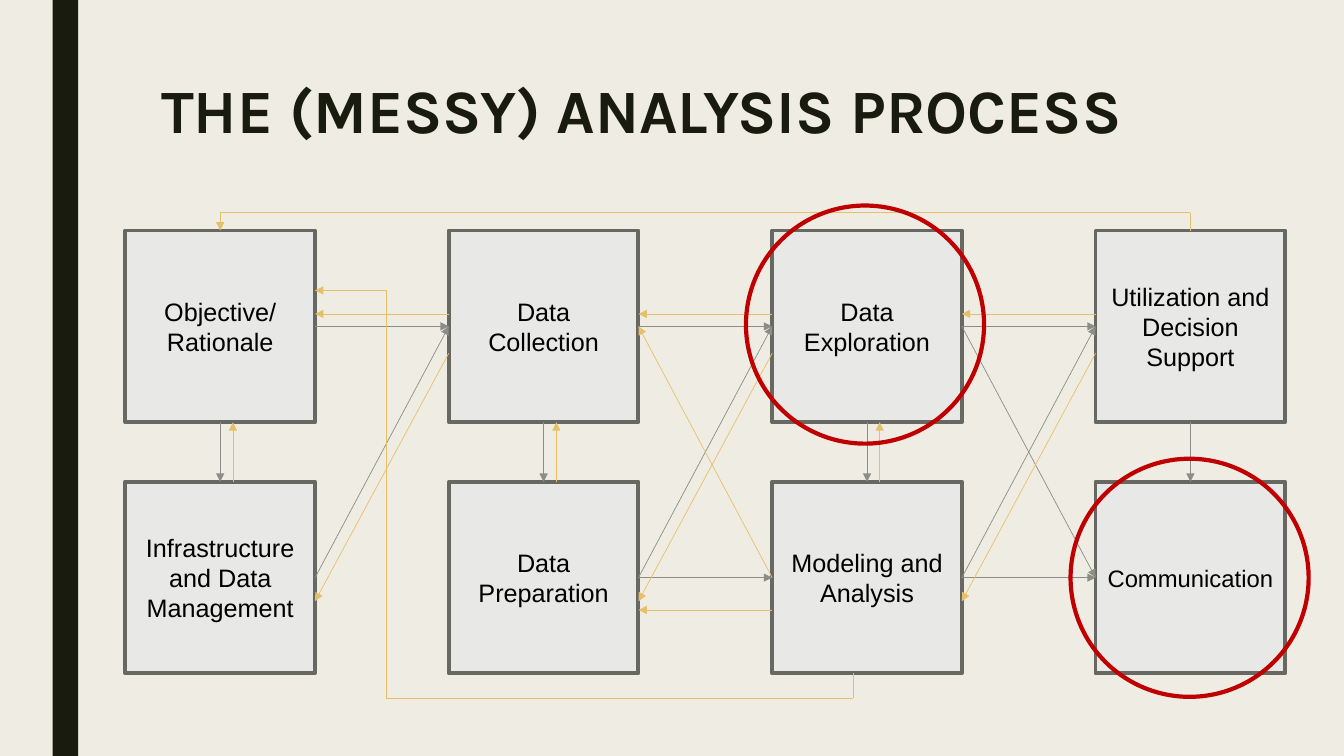
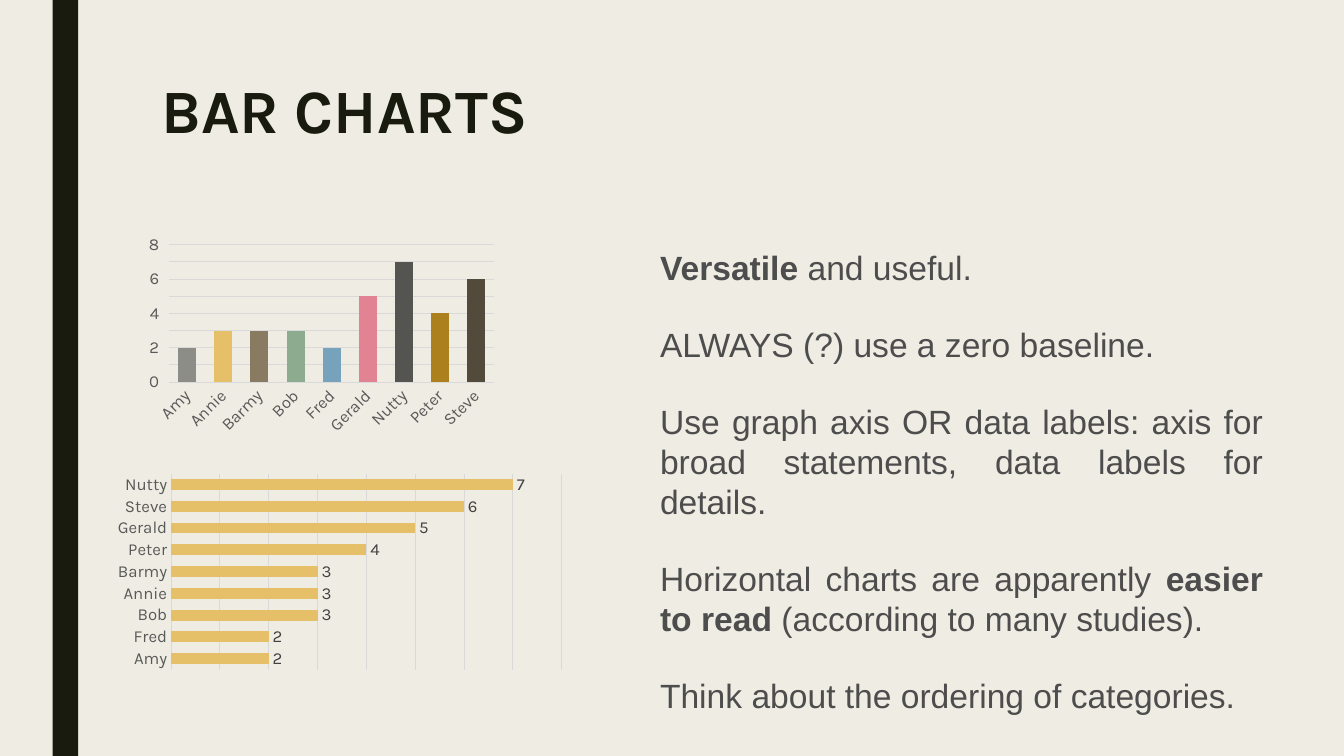
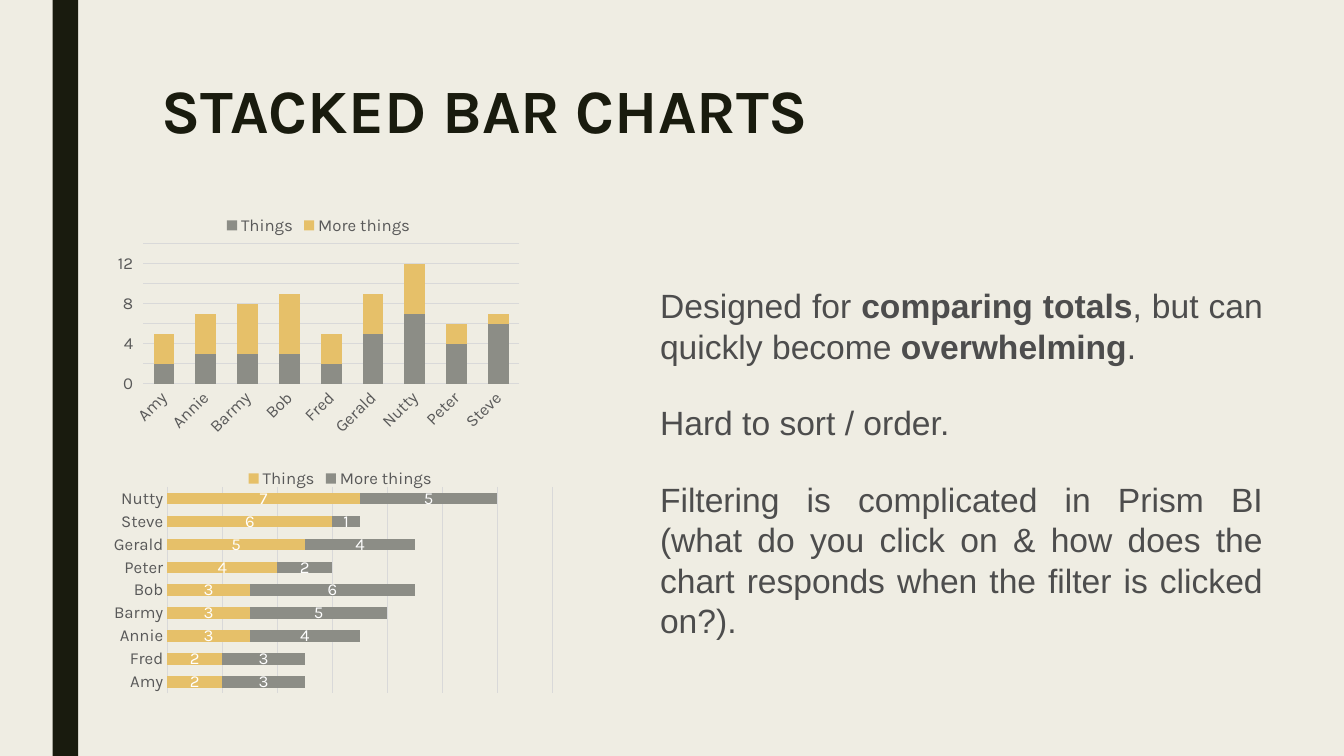
"""Build three slides on the analysis process and on bar charts."""
from lxml import etree
from pptx import Presentation
from pptx.chart.data import CategoryChartData
from pptx.dml.color import RGBColor
from pptx.enum.chart import XL_CHART_TYPE, XL_LABEL_POSITION, XL_LEGEND_POSITION, XL_TICK_MARK
from pptx.enum.shapes import MSO_CONNECTOR, MSO_SHAPE
from pptx.enum.text import MSO_ANCHOR, MSO_AUTO_SIZE, PP_ALIGN
from pptx.oxml import parse_xml
from pptx.oxml.ns import nsdecls, qn
from pptx.util import Cm, Pt

STRAIGHT, ELBOW = MSO_CONNECTOR.STRAIGHT, MSO_CONNECTOR.ELBOW
RECTANGLE, OVAL = MSO_SHAPE.RECTANGLE, MSO_SHAPE.OVAL
TOP, MIDDLE = MSO_ANCHOR.TOP, MSO_ANCHOR.MIDDLE
LEFT, CENTER, JUSTIFY = PP_ALIGN.LEFT, PP_ALIGN.CENTER, PP_ALIGN.JUSTIFY
NO_FIT = MSO_AUTO_SIZE.NONE
COLUMNS, BARS = XL_CHART_TYPE.COLUMN_CLUSTERED, XL_CHART_TYPE.BAR_CLUSTERED
STACKED_COLUMNS, STACKED_BARS = XL_CHART_TYPE.COLUMN_STACKED, XL_CHART_TYPE.BAR_STACKED
OUTSIDE_END = XL_LABEL_POSITION.OUTSIDE_END
LEGEND_TOP = XL_LEGEND_POSITION.TOP
TICK_NONE, TICK_OUT = XL_TICK_MARK.NONE, XL_TICK_MARK.OUTSIDE
SIDE_TOP, SIDE_LEFT, SIDE_BOTTOM, SIDE_RIGHT = range(4)

COLOURS = {
    "paper": "EFEDE3", "ink": "191B0E", "body": "4D4D4D", "black": "000000",
    "white": "FFFFFF", "node": "E8E8E7", "border": "686863", "highlight": "C00000",
    "grey": "8C8D86", "gold": "E6C069", "brown": "897B61", "green": "8DAB8E",
    "blue": "77A2BB", "pink": "E28394", "charcoal": "545550", "ochre": "AC811D",
    "umber": "524A3A", "axis": "595959", "grid": "D9D9D9", "label": "404040",
}
RGB = {name: RGBColor.from_string(value) for name, value in COLOURS.items()}
TITLE_FONT, TEXT_FONT = "Karla", "Arial"

deck = Presentation()
deck.slide_width, deck.slide_height = Cm(33.87), Cm(19.05)
TEXT_LAYOUT, TITLE_LAYOUT = deck.slide_layouts[1], deck.slide_layouts[5]


def add_page(layout, heading):
    """Add a slide with the shared title style."""
    page = deck.slides.add_slide(layout)
    title = page.shapes.title
    title.left, title.top, title.width, title.height = map(Cm, (3.81, 1.91, 26.67, 4.11))
    frame = title.text_frame
    frame.text = heading
    frame.auto_size, frame.vertical_anchor = NO_FIT, TOP
    para = frame.paragraphs[0]
    para.alignment, para.line_spacing = LEFT, 0.89
    font = para.runs[0].font
    font.name, font.size, font.bold = TITLE_FONT, Pt(44), True
    font.color.rgb = RGB["ink"]
    return page


def style_link(link, colour, arrow=True):
    """Give a connector a thin flat line and, if wanted, an arrowhead."""
    link.line.color.rgb = RGB[colour]
    link.line.width = Pt(0.5)
    properties = link.element.xpath("p:spPr")[0]
    if arrow:
        etree.SubElement(properties.find(qn("a:ln")), qn("a:tailEnd"), type="triangle")
    etree.SubElement(properties, qn("a:effectLst"))


page = add_page(TITLE_LAYOUT, "THE (MESSY) ANALYSIS PROCESS")

master = deck.slide_master
master.background.fill.solid()
master.background.fill.fore_color.rgb = RGB["paper"]
band = page.shapes.add_shape(RECTANGLE, Cm(1.33), 0, Cm(0.64), deck.slide_height)
band.shadow.inherit = False
band.fill.solid()
band.fill.fore_color.rgb = RGB["ink"]
band.line.fill.background()
band.element.xpath("p:nvSpPr/p:cNvPr")[0].set("id", "20")
master.shapes.element.insert(2, band.element)

NODE_LEFT, NODE_TOP = 3.16, 5.81
NODE_WIDTH, NODE_HEIGHT = 4.78, 4.83
COLUMN_PITCH, ROW_PITCH = 8.15, 6.33
STEPS = [
    ["Objective/\nRationale", "Data Collection", "Data Exploration",
     "Utilization and Decision Support"],
    ["Infrastructure and Data Management", "Data Preparation", "Modeling and Analysis",
     "Communication"],
]
nodes = {}
for row, steps in enumerate(STEPS):
    for column, step in enumerate(steps):
        node = page.shapes.add_shape(
            RECTANGLE, Cm(NODE_LEFT + column * COLUMN_PITCH), Cm(NODE_TOP + row * ROW_PITCH),
            Cm(NODE_WIDTH), Cm(NODE_HEIGHT))
        node.shadow.inherit = False
        node.fill.solid()
        node.fill.fore_color.rgb = RGB["node"]
        node.line.color.rgb = RGB["border"]
        node.line.width = Pt(2.75)
        node.text_frame.text = step
        node.text_frame.word_wrap = True
        node.text_frame.vertical_anchor = MIDDLE
        for para in node.text_frame.paragraphs:
            para.alignment = CENTER
            font = para.runs[0].font
            font.name, font.size = TEXT_FONT, Pt(17 if step == "Communication" else 18)
            font.color.rgb = RGB["black"]
        nodes[column, row] = node

joined = [((column, 0), SIDE_BOTTOM, (column, 1), SIDE_TOP, "grey") for column in range(4)]
forward = [
    ((0, 0), (1, 0)), ((0, 1), (1, 0)), ((1, 0), (2, 0)), ((1, 1), (2, 0)), ((1, 1), (2, 1)),
    ((2, 0), (3, 0)), ((2, 0), (3, 1)), ((2, 1), (3, 1)), ((2, 1), (3, 0)),
]
joined += [(start, SIDE_RIGHT, end, SIDE_LEFT, "grey") for start, end in forward]
joined.append(((2, 1), SIDE_LEFT, (1, 0), SIDE_RIGHT, "gold"))
for start, start_side, end, end_side, colour in joined:
    link = page.shapes.add_connector(STRAIGHT, 0, 0, 0, 0)
    link.begin_connect(nodes[start], start_side)
    link.end_connect(nodes[end], end_side)
    style_link(link, colour)

returns = [(19.46, 15.37, 16.09, 15.37)]
for column in range(3):
    left = NODE_LEFT + column * COLUMN_PITCH
    right, following = left + NODE_WIDTH, left + COLUMN_PITCH
    beside = left + NODE_WIDTH / 2 + 0.32
    returns += [
        (beside, NODE_TOP + ROW_PITCH, beside, NODE_TOP + NODE_HEIGHT),
        (following, 7.91, right, 7.91),
        (following, 8.9, right, 15.15),
    ]
for ends in returns:
    style_link(page.shapes.add_connector(STRAIGHT, *map(Cm, ends)), "gold")

LOOP_TOP, LOOP_LEFT, LOOP_RIGHT = 5.36, 5.55, 30
rise = page.shapes.add_connector(STRAIGHT, 0, 0, Cm(LOOP_RIGHT), Cm(LOOP_TOP))
rise.begin_connect(nodes[3, 0], SIDE_TOP)
style_link(rise, "gold", arrow=False)
across = page.shapes.add_connector(
    STRAIGHT, Cm(LOOP_RIGHT), Cm(LOOP_TOP), Cm(LOOP_LEFT), Cm(LOOP_TOP))
style_link(across, "gold", arrow=False)
drop = page.shapes.add_connector(STRAIGHT, Cm(LOOP_LEFT), Cm(LOOP_TOP), 0, 0)
drop.end_connect(nodes[0, 0], SIDE_TOP)
style_link(drop, "gold")

stub = page.shapes.add_connector(STRAIGHT, Cm(21.5), Cm(17.59), Cm(21.5), Cm(16.97))
style_link(stub, "gold", arrow=False)
detour = page.shapes.add_connector(ELBOW, Cm(21.5), Cm(17.59), Cm(7.94), Cm(7.32))
etree.SubElement(detour.element.xpath(".//a:avLst")[0], qn("a:gd"),
                 name="adj1", fmla="val 86800")
style_link(detour, "gold")

for left, top in [(18.8, 5.18), (26.98, 11.56)]:
    ring = page.shapes.add_shape(OVAL, Cm(left), Cm(top), Cm(6), Cm(6))
    ring.shadow.inherit = False
    ring.fill.background()
    ring.line.color.rgb = RGB["highlight"]
    ring.line.width = Pt(3)

NAMES = ["Amy", "Annie", "Barmy", "Bob", "Fred", "Gerald", "Nutty", "Peter", "Steve"]
THINGS = [2, 3, 3, 3, 2, 5, 7, 4, 6]
SORTED_THINGS = [2, 2, 3, 3, 3, 4, 5, 6, 7]
CHART_PAGES = [
    {
        "title": "BAR CHARTS",
        "text_top": 6.1,
        "text": [
            "**Versatile** and useful.",
            "ALWAYS (?) use a zero baseline.",
            "Use graph axis OR data labels: axis for broad statements, data labels for details.",
            "Horizontal charts are apparently **easier to read** (according to many studies).",
            "Think about the ordering of categories.",
        ],
        "maximum": 8, "unit": 1,
        "charts": [
            {"kind": COLUMNS, "place": (3.57, 5.81, 9.07, 5.26), "names": NAMES,
             "series": [("Series 1", THINGS, "grey")],
             "points": ["grey", "gold", "brown", "green", "blue", "pink", "charcoal",
                        "ochre", "umber"]},
            {"kind": BARS, "place": (2.42, 11.66, 12.62, 5.49),
             "names": ["Amy", "Fred", "Bob", "Annie", "Barmy", "Peter", "Gerald", "Steve",
                       "Nutty"],
             "series": [("Series 1", SORTED_THINGS, "gold")],
             "labels": "label", "plot": (0.15, 0.05, 0.78, 0.9)},
        ],
    },
    {
        "title": "STACKED BAR CHARTS",
        "text_top": 7.06,
        "text": [
            "Designed for **comparing totals**, but can quickly become **overwhelming**.",
            "Hard to sort / order.",
            "Filtering is complicated in Prism BI (what do you click on & how does the chart "
            "responds when the filter is clicked on?).",
        ],
        "maximum": 14, "unit": 2,
        "charts": [
            {"kind": STACKED_COLUMNS, "place": (2.76, 5.14, 10.54, 5.99), "names": NAMES,
             "series": [("Things", THINGS, "grey"),
                        ("More things", [3, 4, 5, 6, 3, 4, 5, 2, 1], "gold")]},
            {"kind": STACKED_BARS, "place": (2.35, 11.52, 12.45, 6.27),
             "names": ["Amy", "Fred", "Annie", "Barmy", "Bob", "Peter", "Gerald", "Steve",
                       "Nutty"],
             "series": [("Things", SORTED_THINGS, "gold"),
                        ("More things", [3, 3, 4, 5, 6, 2, 4, 1, 5], "grey")],
             "labels": "white", "plot": (0.15, 0.12, 0.78, 0.83)},
        ],
    },
]

for content in CHART_PAGES:
    page = add_page(TEXT_LAYOUT, content["title"])

    body = page.placeholders[1]
    body.left, body.top, body.width, body.height = map(
        Cm, (16.38, content["text_top"], 15.7, 11.99))
    frame = body.text_frame
    frame.auto_size, frame.vertical_anchor = NO_FIT, TOP
    for number, line in enumerate(content["text"]):
        para = frame.add_paragraph() if number else frame.paragraphs[0]
        para.alignment, para.line_spacing = JUSTIFY, 1.0
        para.space_before = Pt(26 if number else 0)
        for position, words in enumerate(line.split("**")):
            if words:
                span = para.add_run()
                span.text = words
                span.font.name, span.font.size = TEXT_FONT, Pt(24)
                span.font.bold = position % 2 == 1
                span.font.color.rgb = RGB["body"]
    for properties in body.element.xpath(".//a:pPr"):
        properties.set("marL", "0")
        properties.set("indent", "0")
        etree.SubElement(properties, qn("a:buNone"))

    for details in content["charts"]:
        data = CategoryChartData()
        data.categories = details["names"]
        for name, values, colour in details["series"]:
            data.add_series(name, values)
        chart = page.shapes.add_chart(details["kind"], *map(Cm, details["place"]), data).chart
        chart.has_title = False
        chart.font.name, chart.font.size = TITLE_FONT, Pt(12)
        chart.font.color.rgb = RGB["axis"]

        stacked = len(details["series"]) > 1
        chart.has_legend = stacked
        if stacked:
            chart.legend.position = LEGEND_TOP
            chart.legend.include_in_layout = False

        plot = chart.plots[0]
        plot.vary_by_categories = False
        plot.gap_width, plot.overlap = 100, 100 if stacked else 0
        for series, (name, values, colour) in zip(plot.series, details["series"]):
            series.format.fill.solid()
            series.format.fill.fore_color.rgb = RGB[colour]
            for index, point_colour in enumerate(details.get("points", [])):
                fill = series.points[index].format.fill
                fill.solid()
                fill.fore_color.rgb = RGB[point_colour]

        category_axis, value_axis = chart.category_axis, chart.value_axis
        category_axis.major_tick_mark = TICK_NONE
        category_axis.format.line.color.rgb = RGB["grid"]
        category_axis.format.line.width = Pt(0.75)
        category_axis.tick_labels.font.size = Pt(12)
        value_axis.minimum_scale, value_axis.maximum_scale = 0, content["maximum"]
        value_axis.major_unit = content["unit"]
        value_axis.major_tick_mark = TICK_OUT
        value_axis.format.line.fill.background()
        value_axis.has_major_gridlines = True
        value_axis.major_gridlines.format.line.color.rgb = RGB["grid"]
        value_axis.major_gridlines.format.line.width = Pt(0.75)

        if "labels" in details:
            value_axis.visible = False
            plot.has_data_labels = True
            labels = plot.data_labels
            labels.show_value = True
            labels.font.name, labels.font.size = TITLE_FONT, Pt(12)
            labels.font.color.rgb = RGB[details["labels"]]
            if not stacked:
                labels.position = OUTSIDE_END
            plot_area = chart.element.xpath("c:chart/c:plotArea")[0]
            for layout in plot_area.findall(qn("c:layout")):
                plot_area.remove(layout)
            sizes = "".join(f'<c:{key} val="{value}"/>'
                            for key, value in zip("xywh", details["plot"]))
            plot_area.insert(0, parse_xml(
                f'<c:layout {nsdecls("c")}><c:manualLayout><c:layoutTarget val="inner"/>'
                f'<c:xMode val="edge"/><c:yMode val="edge"/>{sizes}'
                '</c:manualLayout></c:layout>'))
        else:
            chart.element.xpath(".//c:catAx/c:txPr/a:bodyPr")[0].set("rot", "-2700000")

deck.save("out.pptx")
